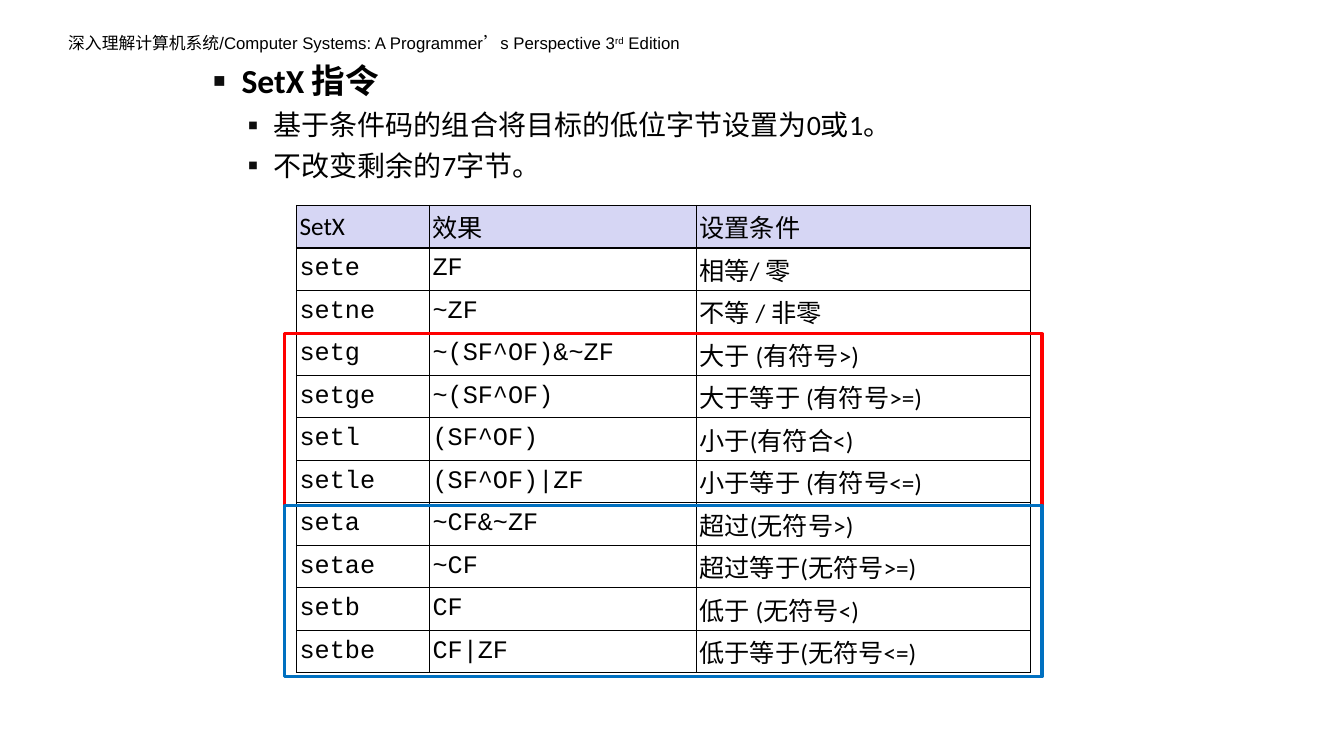
import dataclasses

import lxml.etree
import pptx
import pptx.dml.color
import pptx.enum.shapes
import pptx.enum.text
import pptx.oxml.ns
import pptx.util

Cm = pptx.util.Cm
Pt = pptx.util.Pt
qn = pptx.oxml.ns.qn

BLACK = "000000"
SANS = "Calibri"
MONO = "Courier New"

ROWS = [
    ("SetX", "效果", "设置条件"),
    ("sete", "ZF", "相等/ 零"),
    ("setne", "~ZF", "不等 / 非零"),
    ("setg", "~(SF^OF)&~ZF", "大于 (有符号>)"),
    ("setge", "~(SF^OF)", "大于等于 (有符号>=)"),
    ("setl", "(SF^OF)", "小于(有符合<)"),
    ("setle", "(SF^OF)|ZF", "小于等于 (有符号<=)"),
    ("seta", "~CF&~ZF", "超过(无符号>)"),
    ("setae", "~CF", "超过等于(无符号>=)"),
    ("setb", "CF", "低于 (无符号<)"),
    ("setbe", "CF|ZF", "低于等于(无符号<=)"),
]
WIDTHS = (3.35, 6.73, 8.41)
ROW_H = 1.07


@dataclasses.dataclass
class Point:
    text: str
    level: int
    size: int
    bold: bool
    left: float
    hang: float
    space: int
    mark: str
    scale: int


@dataclasses.dataclass
class Frame:
    top: float
    color: str


POINTS = [
    Point("SetX 指令", 0, 24, True, 0.71, 0.71, 0, "■", 60),
    Point("基于条件码的组合将目标的低位字节设置为0或1。", 1, 20, False, 1.52, 0.66, 5, "▪", 110),
    Point("不改变剩余的7字节。", 1, 20, False, 1.52, 0.66, 5, "▪", 110),
]
FRAMES = [Frame(8.41, "FF0000"), Frame(12.73, "0070C0")]


def rgb(color: str) -> pptx.dml.color.RGBColor:
    return pptx.dml.color.RGBColor.from_string(color)


def style(run, face: str, size: int, bold: bool = False) -> None:
    run.font.name = face
    run.font.size = Pt(size)
    run.font.bold = bold
    run.font.color.rgb = rgb(BLACK)


def child(node, tag: str, **attrs: str):
    return lxml.etree.SubElement(node, qn(tag), attrs)


def add_head(slide) -> None:
    box = slide.shapes.add_textbox(Cm(1.47), Cm(0.71), Cm(15.95), Cm(0.76))
    box.text_frame.word_wrap = True
    box.text_frame.auto_size = pptx.enum.text.MSO_AUTO_SIZE.SHAPE_TO_FIT_TEXT
    para = box.text_frame.paragraphs[0]
    title = "深入理解计算机系统/Computer Systems: A Programmer’s Perspective 3"
    for text in (title, "rd", " Edition"):
        run = para.add_run()
        run.text = text
        style(run, "Arial", 12)
    para.runs[1].font._element.set("baseline", "30000")


def add_points(slide) -> None:
    box = slide.shapes.add_textbox(Cm(5.28), Cm(1.42), Cm(23.29), Cm(4.42))
    frame = box.text_frame
    frame.word_wrap = True
    frame.margin_left = frame.margin_right = Cm(0.1)
    frame.margin_top = frame.margin_bottom = Cm(0.1)
    for i, point in enumerate(POINTS):
        para = frame.add_paragraph() if i else frame.paragraphs[0]
        para.text = point.text
        para.level = point.level
        para.space_before = Pt(point.space)
        props = para._p.get_or_add_pPr()
        props.set("marL", str(Cm(point.left)))
        props.set("indent", str(-Cm(point.hang)))
        child(child(props, "a:buClr"), "a:srgbClr", val="0D0D0D")
        child(props, "a:buSzPct", val=str(point.scale * 1000))
        child(props, "a:buFont", typeface="Arial")
        child(props, "a:buChar", char=point.mark)
        style(para.runs[0], SANS, point.size, point.bold)


def edge(cell) -> None:
    """Draw a thin black line on all four sides of the cell."""
    props = cell._tc.get_or_add_tcPr()
    for side in ("a:lnL", "a:lnR", "a:lnT", "a:lnB"):
        line = child(props, side, w=str(Pt(1)))
        child(child(line, "a:solidFill"), "a:srgbClr", val=BLACK)


def add_grid(slide) -> None:
    shape = slide.shapes.add_table(
        len(ROWS), len(WIDTHS), Cm(7.47), Cm(5.18),
        Cm(sum(WIDTHS)), Cm(ROW_H * len(ROWS)))
    table = shape.table
    table.first_row = table.horz_banding = False
    for col, width in zip(table.columns, WIDTHS):
        col.width = Cm(width)
    for r, texts in enumerate(ROWS):
        table.rows[r].height = Cm(ROW_H)
        for c, text in enumerate(texts):
            cell = table.cell(r, c)
            cell.text_frame.text = text
            cell.vertical_anchor = pptx.enum.text.MSO_ANCHOR.MIDDLE
            cell.margin_left = cell.margin_right = Cm(0.08)
            cell.margin_top = cell.margin_bottom = Cm(0.08)
            edge(cell)
            if r == 0:
                cell.fill.solid()
                cell.fill.fore_color.rgb = rgb("D6D6F4")
            else:
                cell.fill.background()
            face = MONO if r > 0 and c < 2 else SANS
            style(cell.text_frame.paragraphs[0].runs[0], face, 18)


def add_frame(slide, frame: Frame) -> None:
    rect = slide.shapes.add_shape(
        pptx.enum.shapes.MSO_SHAPE.RECTANGLE,
        Cm(7.16), Cm(frame.top), Cm(19.1), Cm(4.32))
    rect.shadow.inherit = False
    rect.fill.background()
    rect.line.color.rgb = rgb(frame.color)
    rect.line.width = Pt(2.25)


def main() -> None:
    deck = pptx.Presentation()
    deck.slide_width = Cm(33.87)
    deck.slide_height = Cm(19.05)
    slide = deck.slides.add_slide(deck.slide_layouts[6])
    add_head(slide)
    add_points(slide)
    add_grid(slide)
    for frame in FRAMES:
        add_frame(slide, frame)
    deck.save("out.pptx")


if __name__ == "__main__":
    main()
